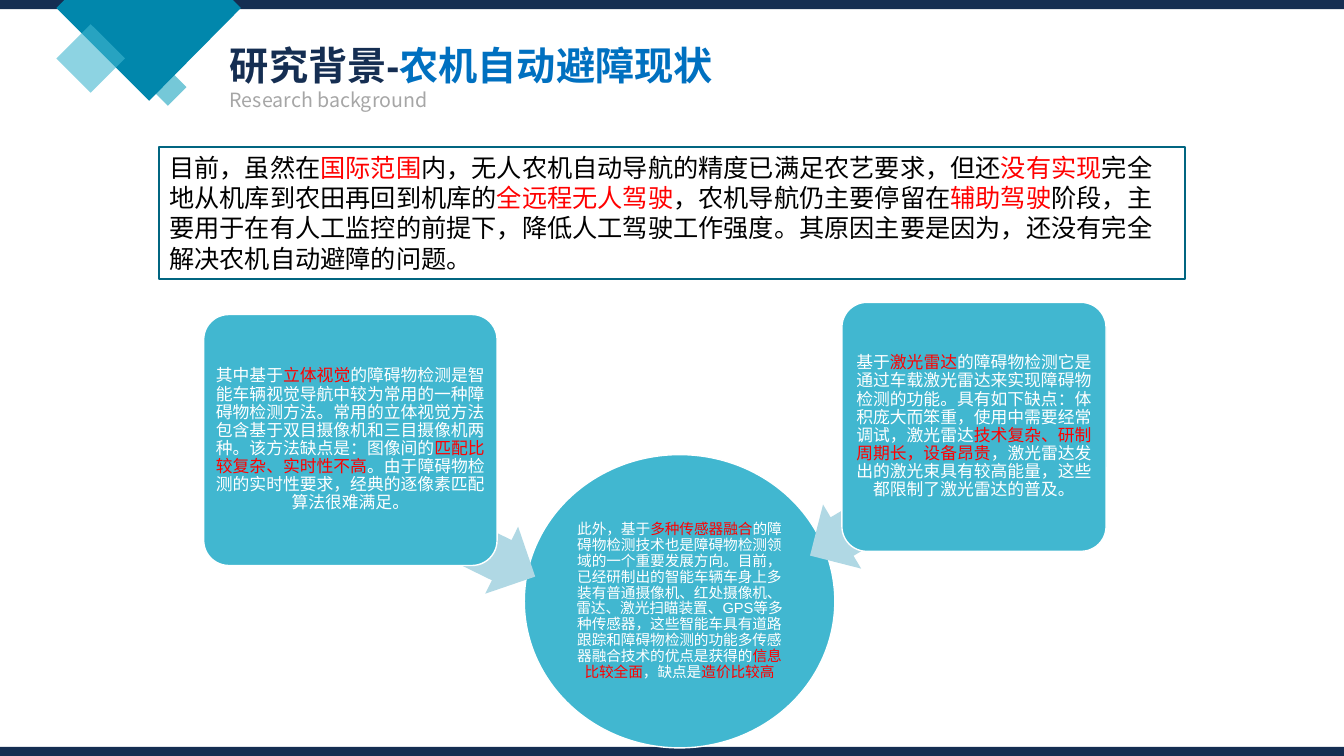
import lxml.etree
import pptx
import pptx.dml.color
import pptx.enum.shapes
import pptx.enum.text
import pptx.oxml.ns
import pptx.util

Inches = pptx.util.Inches
RGBColor = pptx.dml.color.RGBColor
Shapes = pptx.enum.shapes.MSO_SHAPE
Align = pptx.enum.text.PP_ALIGN
Anchor = pptx.enum.text.MSO_ANCHOR

NAVY = RGBColor(0x15, 0x2E, 0x52)
BLUE = RGBColor(0x00, 0x70, 0xC0)
DEEP_TEAL = RGBColor(0x01, 0x87, 0xAC)
BORDER_TEAL = RGBColor(0x01, 0x65, 0x81)
MID_TEAL = RGBColor(0x1A, 0xA4, 0xBE)
TEAL = RGBColor(0x41, 0xB7, 0xD0)
PALE_TEAL = RGBColor(0xB0, 0xD8, 0xE4)
GRAY = RGBColor(0xA6, 0xA6, 0xA6)
RED = RGBColor(0xFF, 0x00, 0x00)
BLACK = RGBColor(0x00, 0x00, 0x00)
WHITE = RGBColor(0xFF, 0xFF, 0xFF)

LATIN = "Arial"
CJK = "Noto Sans CJK SC"
WIDTH, HEIGHT, BAR = 13.33, 7.5, 0.09

SUMMARY = (
    "目前，虽然在|国际范围|内，无人农机自动导航的精度已满足农艺要求，但还|没有实现|"
    "完全地从机库到农田再回到机库的|全远程无人驾驶|，农机导航仍主要停留在|辅助驾驶|"
    "阶段，主要用于在有人工监控的前提下，降低人工驾驶工作强度。"
    "其原因主要是因为，还没有完全解决农机自动避障的问题。"
)
FUSION = (
    "此外，基于|多种传感器融合|的障碍物检测技术也是障碍物检测领域的一个重要发展方向。"
    "目前，已经研制出的智能车辆车身上多装有普通摄像机、红处摄像机、雷达、激光扫瞄装置、"
    "GPS等多种传感器，这些智能车具有道路跟踪和障碍物检测的功能多传感器融合技术的优点是"
    "获得的|信息比较全面|，缺点是|造价比较高"
)
STEREO = (
    "其中基于|立体视觉|的障碍物检测是智能车辆视觉导航中较为常用的一种障碍物检测方法。"
    "常用的立体视觉方法包含基于双目摄像机和三目摄像机两种。该方法缺点是：图像间的|"
    "匹配比较复杂、实时性不高|。由于障碍物检测的实时性要求，经典的逐像素匹配算法很难满足。"
)
LIDAR = (
    "基于|激光雷达|的障碍物检测它是通过车载激光雷达来实现障碍物检测的功能。"
    "具有如下缺点：体积庞大而笨重，使用中需要经常调试，激光雷达|"
    "技术复杂、研制周期长，设备昂贵|，激光雷达发出的激光束具有较高能量，"
    "这些都限制了激光雷达的普及。"
)


def set_values(target, values):
    for name, value in values.items():
        setattr(target, name, value)


def paint(shape, fill=None, line=None, line_width=1, alpha=None):
    shape.shadow.inherit = False
    if fill is None:
        shape.fill.background()
    else:
        shape.fill.solid()
        shape.fill.fore_color.rgb = fill
    if alpha is not None:
        color = shape.fill._xPr.find(".//" + pptx.oxml.ns.qn("a:srgbClr"))
        lxml.etree.SubElement(color, pptx.oxml.ns.qn("a:alpha")).set("val", str(alpha * 1000))
    if line is None:
        shape.line.fill.background()
    else:
        shape.line.color.rgb = line
        shape.line.width = pptx.util.Pt(line_width)


def add_box(slide, kind, box, **look):
    shape = slide.shapes.add_shape(kind, *map(Inches, box))
    paint(shape, **look)
    return shape


def write(shape, text, colors, size, font=LATIN, bold=False, margin=None,
          anchor=Anchor.TOP, alignment=Align.LEFT, line_spacing=1.0):
    frame = shape.text_frame
    set_values(frame, {
        "word_wrap": True,
        "auto_size": pptx.enum.text.MSO_AUTO_SIZE.NONE,
        "vertical_anchor": anchor,
    })
    if margin is not None:
        sides = ("left", "right", "top", "bottom")
        set_values(frame, {f"margin_{side}": Inches(margin) for side in sides})
    paragraph = frame.paragraphs[0]
    set_values(paragraph, {"alignment": alignment, "line_spacing": line_spacing})
    for index, part in enumerate(text.split("|")):
        run = paragraph.add_run()
        run.text = part
        set_values(run.font, {"name": font, "size": pptx.util.Pt(size), "bold": bold})
        run.font.color.rgb = colors[index % len(colors)]
        east_asian = lxml.etree.SubElement(run.font._element, pptx.oxml.ns.qn("a:ea"))
        east_asian.set("typeface", CJK)


def add_decoration(slide, width, height):
    add_box(slide, Shapes.DIAMOND, (1.48, 0.68, 0.37, 0.37), fill=MID_TEAL, alpha=60)
    add_box(slide, Shapes.RECTANGLE, (0, 0, width, BAR), fill=NAVY)
    outline = [(0.64, 0), (2.31, 0), (2.39, 0.08), (1.48, 1), (0.56, 0.08)]
    points = [(Inches(x), Inches(y)) for x, y in outline]
    builder = slide.shapes.build_freeform(*points[0])
    builder.add_line_segments(points[1:], close=True)
    paint(builder.convert_to_shape(), fill=DEEP_TEAL)
    add_box(slide, Shapes.DIAMOND, (0.56, 0.24, 0.68, 0.68), fill=TEAL, alpha=60)
    add_box(slide, Shapes.RECTANGLE, (0, height - BAR, width, BAR), fill=NAVY)


def add_heading(slide, left, top):
    title = slide.shapes.title
    box = {"left": left, "top": top, "width": 5.96, "height": 0.6}
    set_values(title, {name: Inches(value) for name, value in box.items()})
    write(title, "研究背景-|农机自动避障现状", (NAVY, BLUE), 28, bold=True, line_spacing=1.14)
    subtitle = slide.shapes.add_textbox(*map(Inches, (left, top + 0.5, 8.81, 0.35)))
    write(subtitle, "Research background", (GRAY,), 14, font=CJK, line_spacing=1.14)


def add_summary(slide, box):
    shape = add_box(slide, Shapes.RECTANGLE, box, line=BORDER_TEAL, line_width=1.5)
    write(shape, SUMMARY, (BLACK, RED), 18, font=CJK)


def add_topic(slide, kind, box, text, size, margin):
    shape = add_box(slide, kind, box, fill=TEAL, line=WHITE)
    if kind == Shapes.ROUNDED_RECTANGLE:
        shape.adjustments[0] = 0.1
    write(shape, text, (WHITE, RED), size, margin=margin, anchor=Anchor.MIDDLE,
          alignment=Align.CENTER, line_spacing=0.9)


def add_arrow(slide, box, rotation):
    arrow = add_box(slide, Shapes.LEFT_ARROW, box, fill=PALE_TEAL)
    arrow.adjustments[0] = 0.6
    arrow.adjustments[1] = 0.5
    arrow.rotation = rotation


def add_diagram(slide, left, top):
    add_topic(slide, Shapes.OVAL, (left + 3.18, top + 1.51, 3.08, 2.91), FUSION, 10.5, 0.01)
    branches = [
        ((1.39, 1.91, 2, 0.74), 206.1, (0, 0.12, 2.91, 2.49), STEREO),
        ((5.89, 1.69, 1.77, 0.74), 329.3, (6.33, 0, 2.62, 2.47), LIDAR),
    ]
    for arrow, rotation, card, text in branches:
        arrow_box, card_box = [(left + x, top + y, w, h) for x, y, w, h in (arrow, card)]
        add_arrow(slide, arrow_box, rotation)
        add_topic(slide, Shapes.ROUNDED_RECTANGLE, card_box, text, 12, 0.03)


def main():
    presentation = pptx.Presentation()
    set_values(presentation, {"slide_width": Inches(WIDTH), "slide_height": Inches(HEIGHT)})
    slide = presentation.slides.add_slide(presentation.slide_layouts[5])
    add_decoration(slide, WIDTH, HEIGHT)
    add_heading(slide, 2.18, 0.29)
    add_summary(slide, (1.58, 1.46, 10.17, 1.31))
    add_diagram(slide, 2.02, 3)
    presentation.save("out.pptx")


if __name__ == "__main__":
    main()
